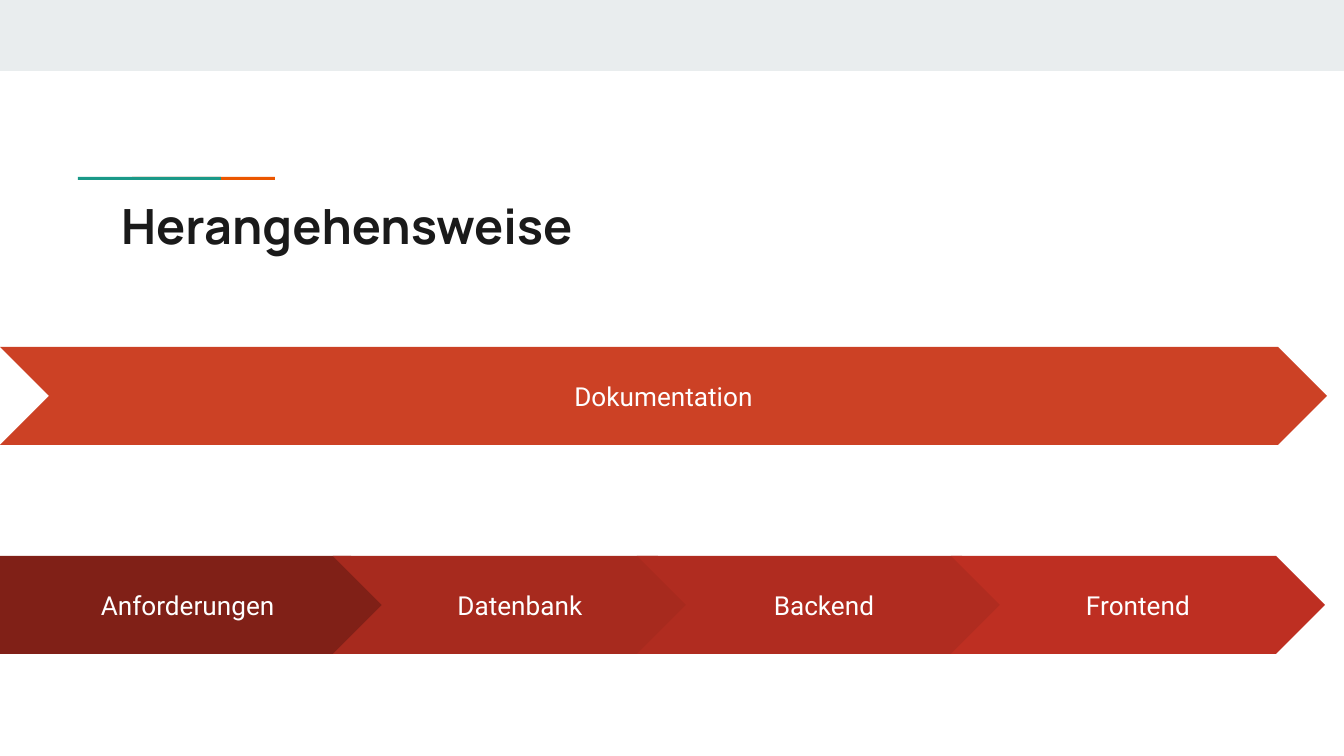
import pptx
import pptx.dml.color
import pptx.enum.shapes
import pptx.enum.text
import pptx.util

PX = 914400 / 134.4  # EMU per px
SHAPES = pptx.enum.shapes.MSO_SHAPE
ALIGN = pptx.enum.text.PP_ALIGN
ANCHOR = pptx.enum.text.MSO_ANCHOR


def add_block(kind, box, color):
    block = slide.shapes.add_shape(kind, *[round(v * PX) for v in box])
    block.shadow.inherit = False
    block.fill.solid()
    block.fill.fore_color.rgb = pptx.dml.color.RGBColor.from_string(color)
    block.line.fill.background()
    return block


def write(shape, text, *, size, font, color, bold=False,
          align=ALIGN.LEFT, anchor=ANCHOR.TOP):
    frame = shape.text_frame
    frame.word_wrap = True
    frame.vertical_anchor = anchor
    frame.margin_left = frame.margin_right = pptx.util.Inches(0.1)
    frame.margin_top = frame.margin_bottom = pptx.util.Inches(0.1)
    paragraph = frame.paragraphs[0]
    paragraph.alignment = align
    run = paragraph.add_run()
    run.text = text
    run.font.size = pptx.util.Pt(size)
    run.font.name = font
    run.font.bold = bold
    run.font.color.rgb = pptx.dml.color.RGBColor.from_string(color)


deck = pptx.Presentation()
deck.slide_width = round(1344 * PX)
deck.slide_height = round(756 * PX)
slide = deck.slides.add_slide(deck.slide_layouts[6])

# Top band and two-coloured accent line
add_block(SHAPES.RECTANGLE, (0, 0, 1344, 71), "E9EDEE")
add_block(SHAPES.RECTANGLE, (132, 177, 143, 3), "EB5600")
add_block(SHAPES.RECTANGLE, (78, 177, 143, 3), "1A9988")

# Title
title = slide.shapes.add_textbox(*[round(v * PX) for v in (108, 183, 1130, 79)])
write(title, "Herangehensweise", size=26, font="Manrope", color="1A1A1A", bold=True)

# Project phases, with documentation running alongside all of them
phases = [
    ("Anforderungen", SHAPES.PENTAGON, 0, 556, 400, "802017"),
    ("Datenbank", SHAPES.CHEVRON, 333, 556, 374, "A72A1E"),
    ("Backend", SHAPES.CHEVRON, 637, 556, 374, "B02C20"),
    ("Dokumentation", SHAPES.CHEVRON, 0, 347, 1327, "CC4125"),
    ("Frontend", SHAPES.CHEVRON, 951, 556, 374, "BE2F22"),
]
for label, kind, left, top, width, color in phases:
    phase = add_block(kind, (left, top, width, 98), color)
    write(phase, label, size=14, font="Roboto", color="FFFFFF",
          align=ALIGN.CENTER, anchor=ANCHOR.MIDDLE)

deck.save("out.pptx")
